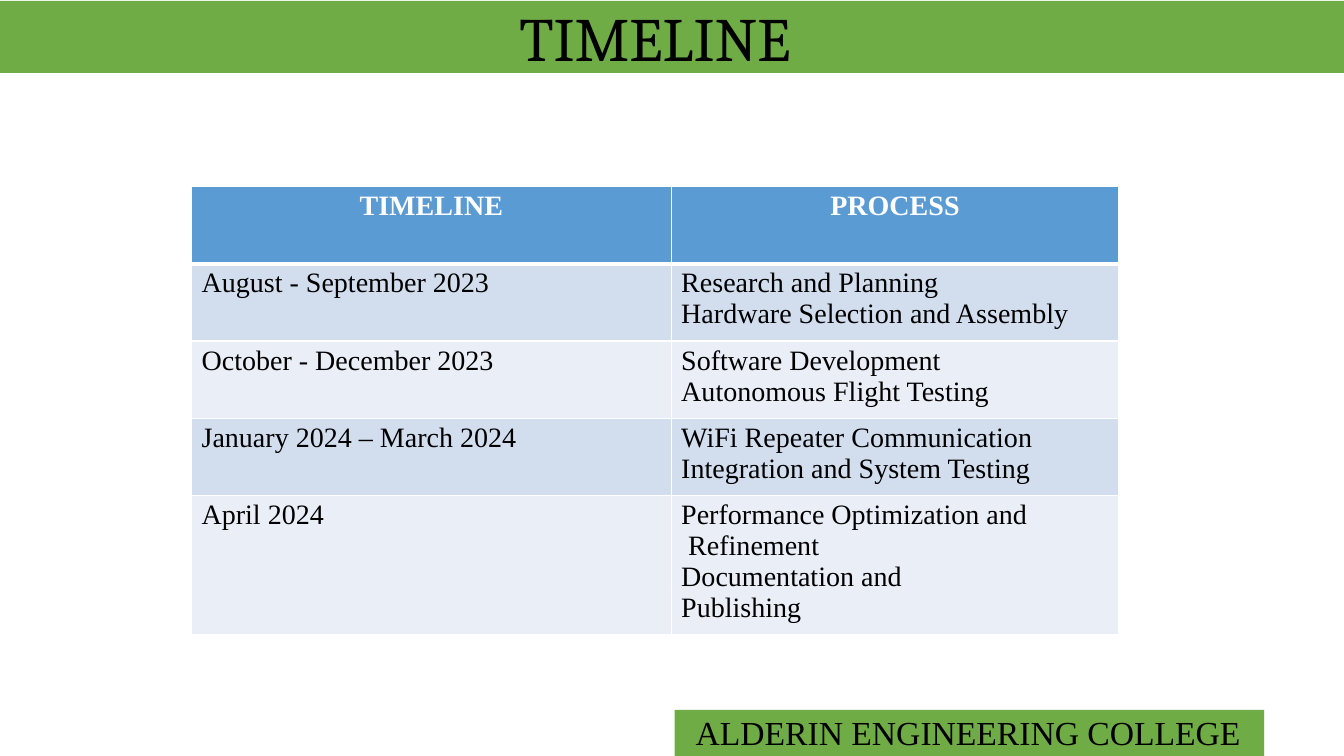
from lxml import etree
from pptx import Presentation
from pptx.dml.color import RGBColor
from pptx.enum.shapes import MSO_SHAPE
from pptx.enum.text import PP_ALIGN
from pptx.oxml.ns import qn
from pptx.util import Inches, Pt

RECTANGLE = MSO_SHAPE.RECTANGLE
LEFT, CENTER = PP_ALIGN.LEFT, PP_ALIGN.CENTER

COLORS = {
    "green": "6FAC46",
    "header": "5B9BD4",
    "odd": "D2DEEE",
    "even": "EAEEF7",
    "black": "000000",
    "white": "FFFFFF",
}
GRID_COLUMNS, GRID_ROWS = 160, 90
BODY_FONT = "Times New Roman"

# Each process is a list of paragraphs; \v breaks a line inside one.
SCHEDULE = [
    ("August - September 2023",
     ["Research and Planning", "Hardware Selection and Assembly"]),
    ("October - December 2023",
     ["Software Development\vAutonomous Flight Testing"]),
    ("January 2024 – March 2024",
     ["WiFi Repeater Communication", "Integration and System Testing"]),
    ("April 2024",
     ["Performance Optimization and\v Refinement",
      "Documentation and\vPublishing"]),
]


class SlideBuilder:
    def __init__(self, presentation):
        self.slide = presentation.slides.add_slide(presentation.slide_layouts[6])
        self.column = presentation.slide_width / GRID_COLUMNS
        self.row = presentation.slide_height / GRID_ROWS

    def place(self, left, top, width, height):
        """Turn grid columns and rows into slide lengths."""
        return (round(left * self.column), round(top * self.row),
                round(width * self.column), round(height * self.row))

    def set_text(self, frame, paragraphs, font, spacing):
        frame.word_wrap = True
        frame.text = "\n".join(paragraphs)
        for paragraph in frame.paragraphs:
            paragraph.font.color.rgb = RGBColor.from_string(COLORS[font["color"]])
            for name in ("name", "size", "bold"):
                setattr(paragraph.font, name, font[name])
        for name, value in spacing.items():
            setattr(frame.paragraphs[0], name, value)

    def set_margins(self, holder, left, top):
        margins = {"left": left, "top": top, "right": 0, "bottom": 0}
        for side, inches in margins.items():
            setattr(holder, f"margin_{side}", Inches(inches))

    def bar(self, *area):
        shape = self.slide.shapes.add_shape(RECTANGLE, *self.place(*area))
        shape.shadow.inherit = False
        shape.fill.solid()
        shape.fill.fore_color.rgb = RGBColor.from_string(COLORS["green"])
        shape.line.fill.background()

    def label(self, text, area, font_name, size, spacing):
        frame = self.slide.shapes.add_textbox(*self.place(*area)).text_frame
        self.set_margins(frame, 0.01, 0)
        font = {"name": font_name, "size": Pt(size), "bold": False, "color": "black"}
        self.set_text(frame, [text], font, spacing)

    def border(self, cell, side, points):
        line = etree.SubElement(cell._tc.get_or_add_tcPr(), qn(f"a:ln{side}"),
                                w=str(Pt(points)))
        fill = etree.SubElement(line, qn("a:solidFill"))
        etree.SubElement(fill, qn("a:srgbClr"), val=COLORS["white"])

    def cell(self, cell, paragraphs, row_index):
        is_header = row_index == 0
        for side in "LRTB":
            thick = (row_index, side) in ((0, "B"), (1, "T"))
            self.border(cell, side, 3 if thick else 1)
        fill_name = "header" if is_header else "odd" if row_index % 2 else "even"
        cell.fill.solid()
        cell.fill.fore_color.rgb = RGBColor.from_string(COLORS[fill_name])
        self.set_margins(cell, 0 if is_header else 0.1, 0.04)
        font = {"name": BODY_FONT, "size": Pt(20), "bold": is_header,
                "color": "white" if is_header else "black"}
        spacing = {"space_before": Pt(3), "alignment": CENTER if is_header else LEFT}
        self.set_text(cell.text_frame, paragraphs, font, spacing)

    def table(self, rows, left, top, widths, heights):
        area = self.place(left, top, sum(widths), sum(heights))
        table = self.slide.shapes.add_table(len(rows), len(widths), *area).table
        for column, width in zip(table.columns, widths):
            column.width = round(width * self.column)
        for row_index, (row, height) in enumerate(zip(rows, heights)):
            table.rows[row_index].height = round(height * self.row)
            for column_index, paragraphs in enumerate(row):
                self.cell(table.cell(row_index, column_index), paragraphs, row_index)


def main():
    presentation = Presentation()
    presentation.slide_width, presentation.slide_height = Inches(13.33), Inches(7.5)
    builder = SlideBuilder(presentation)
    builder.bar(80.3, 84.5, 70.2, 5.5)
    builder.bar(0, 0.1, GRID_COLUMNS, 8.6)
    builder.label("TIMELINE", (61.7, 0, 32.9, 9.1), "Cambria", 44,
                  {"space_before": Pt(1)})
    builder.label("ALDERIN ENGINEERING COLLEGE", (82.7, 85, 65.4, 4.8),
                  BODY_FONT, 24, {"line_spacing": Pt(27.2)})
    rows = [(["TIMELINE"], ["PROCESS"])]
    rows += [([period], process) for period, process in SCHEDULE]
    builder.table(rows, 22.8, 22.2, [57.1, 53.3], [9.2] * 4 + [16.5])
    presentation.save("out.pptx")


if __name__ == "__main__":
    main()
